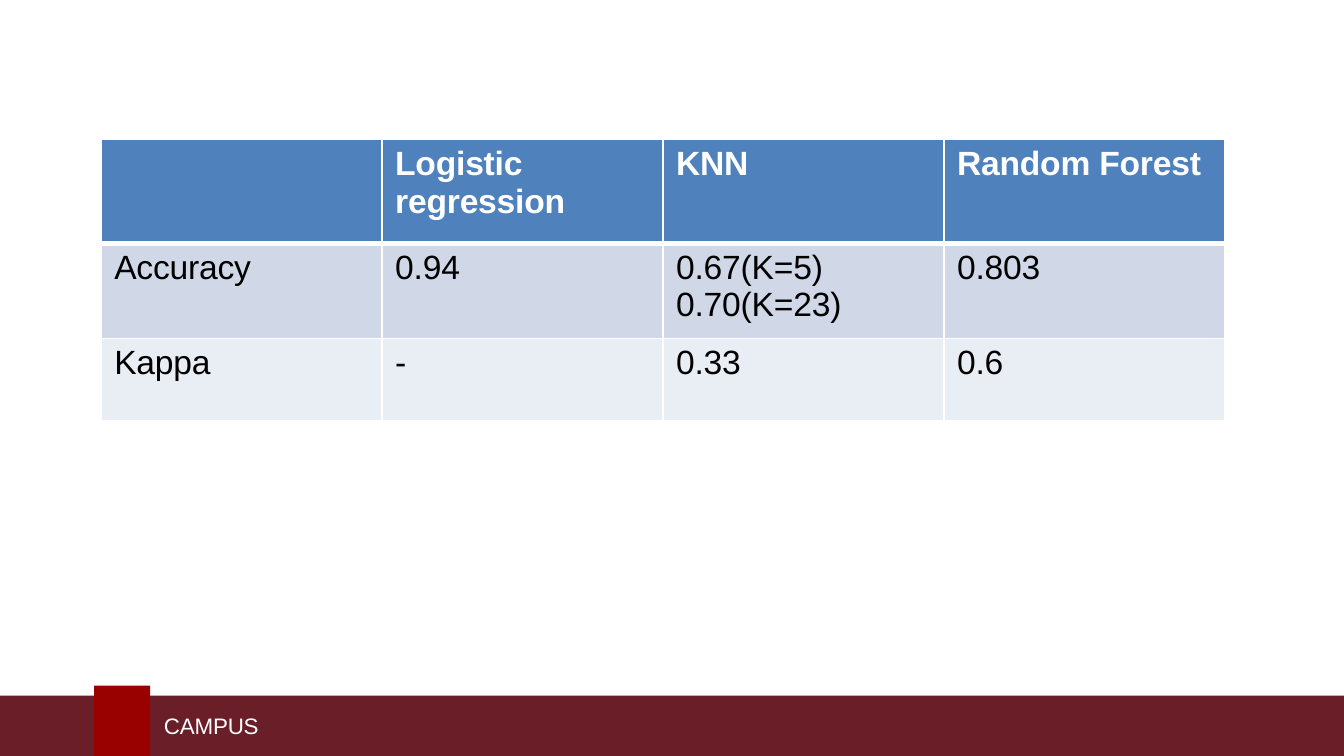
from dataclasses import dataclass

from lxml.etree import SubElement
from pptx import Presentation
from pptx.dml.color import RGBColor
from pptx.enum.shapes import MSO_SHAPE
from pptx.oxml.ns import qn
from pptx.util import Cm, Pt


@dataclass(frozen=True)
class Theme:
    font: str = "Arial"
    table_size: float = 18
    footer_size: float = 12
    white: str = "FFFFFF"
    black: str = "000000"
    header: str = "4F81BD"
    band_dark: str = "D0D8E8"
    band_light: str = "E9EDF4"
    bar: str = "691E28"
    accent: str = "990000"


theme = Theme()


def write_text(tf, text, *, size, color, bold=False, before=0, line=None):
    """Fill a text frame, one paragraph per line of text."""
    for i, content in enumerate(text.split("\n")):
        p = tf.paragraphs[0] if i == 0 else tf.add_paragraph()
        p.space_before = Pt(before if i == 0 else 0)
        if line:
            p.line_spacing = Pt(line)
        r = p.add_run()
        r.text = content
        r.font.name = theme.font
        r.font.size = Pt(size)
        r.font.bold = bold
        r.font.color.rgb = RGBColor.from_string(color)
        r._r.get_or_add_rPr().set("spc", "-10")


def set_borders(cell, color, **widths):
    """Draw the cell's sides; widths are points keyed L, R, T and B."""
    tcPr = cell._tc.get_or_add_tcPr()
    for side, width in widths.items():
        ln = SubElement(tcPr, qn(f"a:ln{side}"), w=str(Pt(width)))
        fill = SubElement(ln, qn("a:solidFill"))
        SubElement(fill, qn("a:srgbClr"), val=color)


prs = Presentation()
prs.slide_width, prs.slide_height = Cm(25.4), Cm(14.29)
s = prs.slides.add_slide(prs.slide_layouts[6])

# Footer band, split by a taller accent block
bottom = 14.29
for left, right, top, color in [
    (0, 1.78, 13.15, theme.bar),
    (2.84, 25.4, 13.15, theme.bar),
    (1.78, 2.84, 12.96, theme.accent),
]:
    sp = s.shapes.add_shape(
        MSO_SHAPE.RECTANGLE, Cm(left), Cm(top), Cm(right - left), Cm(bottom - top)
    )
    sp.shadow.inherit = False
    sp.fill.solid()
    sp.fill.fore_color.rgb = RGBColor.from_string(color)
    sp.line.fill.background()

# Model comparison
rows = [
    ["", "Logistic regression", "KNN", "Random Forest"],
    ["Accuracy", "0.94", "0.67(K=5)\n0.70(K=23)", "0.803"],
    ["Kappa", "-", "0.33", "0.6"],
]
row_heights = [1.96, 1.8, 1.55]
row_fills = [theme.header, theme.band_dark, theme.band_light]
col_width = 5.31

table = s.shapes.add_table(
    len(rows), len(rows[0]), Cm(1.91), Cm(2.64),
    Cm(col_width * len(rows[0])), Cm(sum(row_heights)),
).table
for column in table.columns:
    column.width = Cm(col_width)
for i, (values, height, fill) in enumerate(zip(rows, row_heights, row_fills)):
    table.rows[i].height = Cm(height)
    is_header = i == 0
    for j, value in enumerate(values):
        cell = table.cell(i, j)
        cell.margin_left, cell.margin_top = Cm(0.25), Cm(0.1)
        cell.margin_right = cell.margin_bottom = 0
        set_borders(cell, theme.white, L=1, R=1,
                    T=3 if i == 1 else 1, B=3 if is_header else 1)
        cell.fill.solid()
        cell.fill.fore_color.rgb = RGBColor.from_string(fill)
        write_text(cell.text_frame, value, size=theme.table_size, bold=is_header,
                   color=theme.white if is_header else theme.black,
                   before=2.6 if i == 2 else 3.1)

# Footer label
tf = s.shapes.add_textbox(Cm(3.1), Cm(13.46), Cm(1.8), Cm(0.53)).text_frame
tf.margin_left = tf.margin_top = tf.margin_right = tf.margin_bottom = 0
tf.word_wrap = True
write_text(tf, "CAMPUS", size=theme.footer_size, color=theme.white, line=14.2)

prs.save("out.pptx")
